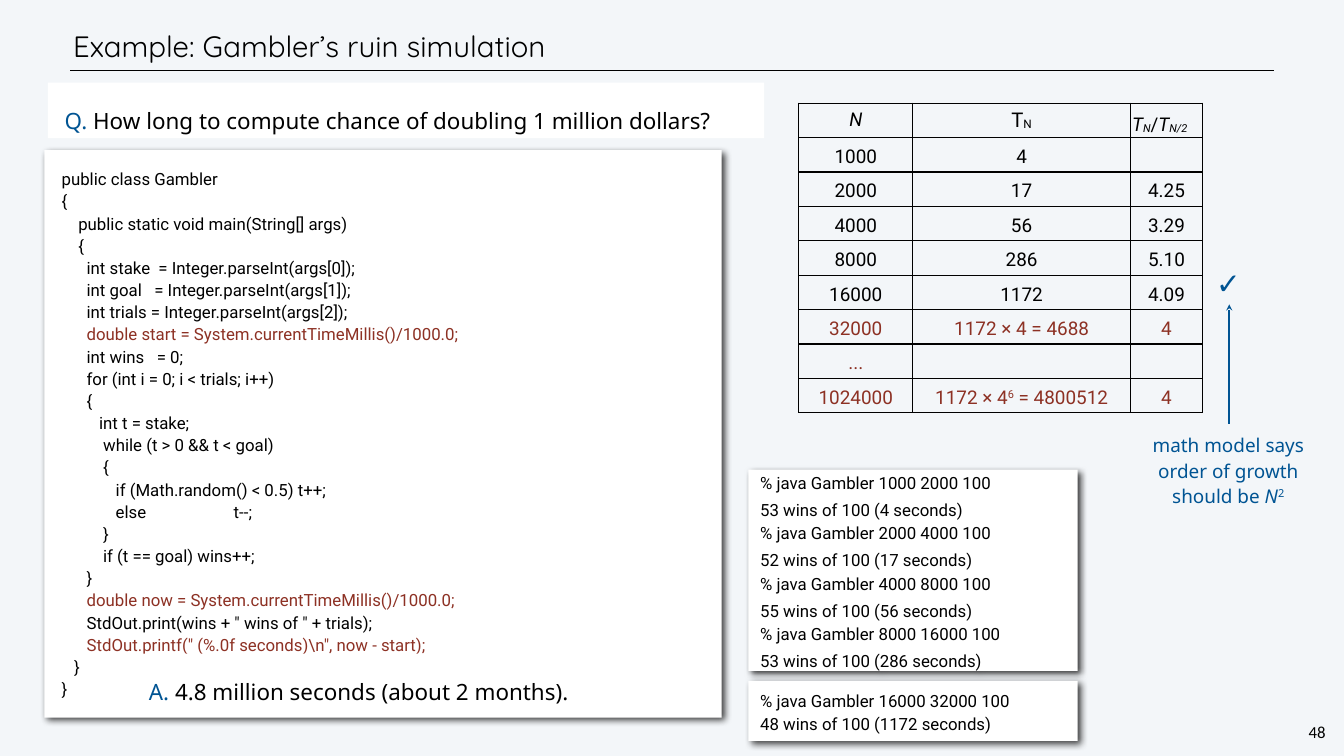
from dataclasses import dataclass, field
from lxml.etree import SubElement
from pptx import Presentation
from pptx.dml.color import RGBColor
from pptx.enum.shapes import MSO_CONNECTOR as Connector, MSO_SHAPE as Shape
from pptx.enum.text import MSO_ANCHOR as Anchor, PP_ALIGN as Align
from pptx.oxml import parse_xml
from pptx.oxml.ns import nsdecls, qn
from pptx.util import Inches, Pt

COLORS = {"ink": "000000", "paper": "FFFFFF", "ground": "F3F6F9",
          "accent": "005493", "timing": "8D3124"}
COLUMNS, ROWS = 80, 45
SUB, SUP = {"baseline": -6000}, {"baseline": 32000}

CODE = r"""public class Gambler
{
    public static void main(String[] args)
    {
      int stake  = Integer.parseInt(args[0]);
      int goal   = Integer.parseInt(args[1]);
      int trials = Integer.parseInt(args[2]);
      double start = System.currentTimeMillis()/1000.0;
      int wins   = 0;
      for (int i = 0; i < trials; i++)
      {
         int t = stake;
         while (t > 0 && t < goal)
         {
            if (Math.random() < 0.5) t++;
            else                     t--;
         }
         if (t == goal) wins++;
      }
      double now = System.currentTimeMillis()/1000.0;
      StdOut.print(wins + " wins of " + trials);
      StdOut.printf(" (%.0f seconds)\n", now - start);
   }
}""".splitlines()

TRIALS = [(1000, 4), (2000, 17), (4000, 56), (8000, 286), (16000, 1172)]
WINS = [53, 52, 55, 53, 48]
RATIOS = ["", "4.25", "3.29", "5.10", "4.09"]


def rgb(name):
    return RGBColor.from_string(COLORS[name])


def write(paragraph, content, *, size=24, font="Roboto", color="ink", align=Align.LEFT,
          spacing=None, before=0, indent=0, italic=False):
    """Fill a paragraph with a string or with (text, overrides) runs."""
    paragraph.alignment = align
    paragraph.space_before = Pt(before)
    paragraph.line_spacing = spacing
    if indent:
        paragraph._p.get_or_add_pPr().set("marL", str(Inches(indent)))
    runs = [(content, {})] if isinstance(content, str) else content
    for text, own in runs:
        run = paragraph.add_run()
        run.text = text
        run.font.name = font
        run.font.size = Pt(size)
        run.font.italic = own.get("italic", italic)
        run.font.color.rgb = rgb(own.get("color", color))
        if "baseline" in own:
            run.font._element.set("baseline", str(own["baseline"]))


@dataclass
class Deck:
    """Holds the style and current slide, measured in grid columns and rows."""
    show: object = field(default_factory=Presentation)
    slide: object = None

    def start(self):
        self.show.slide_width, self.show.slide_height = Inches(26.67), Inches(15)
        self.slide = self.show.slides.add_slide(self.show.slide_layouts[6])
        self.slide.background.fill.solid()
        self.slide.background.fill.fore_color.rgb = rgb("ground")

    def x(self, columns):
        return round(self.show.slide_width * columns / COLUMNS)

    def y(self, rows):
        return round(self.show.slide_height * rows / ROWS)

    def place(self, left, top, width, height):
        return self.x(left), self.y(top), self.x(width), self.y(height)

    def fill_text(self, frame, lines, inset, anchor, wrap, **style):
        frame.word_wrap = wrap
        frame.vertical_anchor = anchor
        frame.margin_left = frame.margin_right = self.x(inset)
        frame.margin_top = frame.margin_bottom = self.y(inset)
        for index, line in enumerate(lines):
            content, own = line if isinstance(line, tuple) else (line, {})
            paragraph = frame.add_paragraph() if index else frame.paragraphs[0]
            write(paragraph, content, **{**style, **own})

    def label(self, box, lines, inset=0.18, anchor=Anchor.TOP, wrap=False, **style):
        shape = self.slide.shapes.add_textbox(*self.place(*box))
        self.fill_text(shape.text_frame, lines, inset, anchor, wrap, **style)

    def panel(self, box, lines, inset=1, anchor=Anchor.TOP, raised=True, **style):
        shape = self.slide.shapes.add_shape(Shape.RECTANGLE, *self.place(*box))
        shape.fill.solid()
        shape.fill.fore_color.rgb = rgb("paper")
        shape.line.fill.background()
        shape.shadow.inherit = False
        if raised:
            shape.element.spPr.find(qn("a:effectLst")).append(parse_xml(
                f'<a:outerShdw {nsdecls("a")} blurRad="{Pt(10)}" dist="{Pt(6)}" dir="2700000" '
                f'rotWithShape="0"><a:srgbClr val="{COLORS["ink"]}"><a:alpha val="75000"/>'
                '</a:srgbClr></a:outerShdw>'))
        self.fill_text(shape.text_frame, lines, inset, anchor, True, **style)

    def line(self, start, end, color, width, head=None):
        rule = self.slide.shapes.add_connector(
            Connector.STRAIGHT, self.x(start[0]), self.y(start[1]), self.x(end[0]), self.y(end[1]))
        rule.line.color.rgb = rgb(color)
        rule.line.width = Pt(width)
        properties = rule.element.spPr
        if head:
            SubElement(properties.find(qn("a:ln")), qn("a:headEnd"), type=head)
        SubElement(properties, qn("a:effectLst"))

    def table(self, left, top, widths, heights, cells):
        frame = self.slide.shapes.add_table(
            len(heights), len(widths), *self.place(left, top, sum(widths), sum(heights)))
        grid = frame.table
        grid.first_row = grid.horz_banding = False
        for column, width in zip(grid.columns, widths):
            column.width = self.x(width)
        for row, height, entries in zip(grid.rows, heights, cells):
            row.height = self.y(height)
            for cell, (content, style) in zip(row.cells, entries):
                self.border(cell)
                cell.fill.background()
                cell.vertical_anchor = Anchor.MIDDLE
                cell.margin_left = cell.margin_right = self.x(0.1)
                cell.margin_top = cell.margin_bottom = self.y(0.1)
                if content:
                    write(cell.text_frame.paragraphs[0], content,
                          **{"size": 27, "align": Align.CENTER, **style})

    def border(self, cell):
        properties = cell._tc.get_or_add_tcPr()
        for side in ("lnL", "lnR", "lnT", "lnB"):
            edge = SubElement(properties, qn(f"a:{side}"), w=str(Pt(2)))
            SubElement(SubElement(edge, qn("a:solidFill")), qn("a:srgbClr"), val=COLORS["ink"])


def code_lines():
    for number, line in enumerate(CODE):
        timed = "currentTimeMillis" in line or "now" in line
        yield line, {"color": "timing" if timed else "ink",
                     "indent": 0.09 if 12 <= number <= 17 else 0.01}


def console(runs, gap):
    for (stake, seconds), wins in runs:
        yield f"% java Gambler {stake} {2 * stake} 100"
        yield f"{wins} wins of 100 ({seconds} seconds)", {"before": gap}


def growth_cells():
    slanted = {"italic": True}
    ratio = [("T", slanted), ("N", {**SUB, **slanted}), ("/", {}),
             ("T", slanted), ("N/2", {**SUB, **slanted})]
    yield [("N", {"italic": True, "spacing": Pt(32)}),
           ([("T", {}), ("N", SUB)], {"size": 29, "spacing": Pt(34)}),
           (ratio, {"align": Align.LEFT, "spacing": Pt(44)})]
    measured = [(str(n), str(t), r) for (n, t), r in zip(TRIALS, RATIOS)]
    predicted = [("32000", "1172 × 4 = 4688", "4"), ("...", "", ""),
                 ("1024000", [("1172 × 4", {}), ("6", SUP), (" = 4800512", {})], "4")]
    for color, rows in (("ink", measured), ("timing", predicted)):
        for row in rows:
            yield [(entry, {"color": color, "spacing": Pt(38)}) for entry in row]


def main():
    deck = Deck()
    deck.start()
    noto = {"font": "Noto Sans", "color": "accent", "align": Align.CENTER}
    statement = {"raised": False, "size": 32, "font": "Noto Sans", "spacing": Pt(50)}
    terminal = {"anchor": Anchor.MIDDLE, "inset": 0.7, "spacing": Pt(33)}
    trials = list(zip(TRIALS, WINS))

    deck.line((4.17, 4.2), (75.84, 4.2), "ink", 1)
    deck.label((4.17, 1.26, 67.86, 2.97), ["Example: Gambler’s ruin simulation"], wrap=True,
               anchor=Anchor.MIDDLE, size=42, font="Quicksand", spacing=Pt(50))
    deck.label((77.76, 42.87, 1.29, 1.41), ["48"], inset=0.12, font="Calibri",
               align=Align.CENTER, spacing=Pt(28))
    deck.panel((2.64, 8.94, 40.32, 33.78), code_lines(), spacing=1.1)
    deck.panel((2.85, 4.92, 42.63, 3.3), [([
        ("Q. ", {"color": "accent"}),
        ("How long to compute chance of doubling 1 million dollars?", {})], {})], **statement)
    deck.panel((44.55, 27.96, 19.59, 11.97), console(trials[:4], 6), **terminal)
    deck.table(47.55, 6.15, [6.78, 12.96, 4.29], [1.68] + [2.05] * 8, growth_cells())
    order = [("should be ", {}), ("N", {"italic": True}), ("2", SUP)]
    deck.label((67.98, 25.5, 10.26, 4.74),
               ["math model says", ("order of growth", {"before": 2}), (order, {"before": 2})],
               size=27, spacing=Pt(35), **noto)
    deck.line((73.17, 18.12), (73.17, 25.23), "accent", 3, head="stealth")
    deck.label((72.21, 15.63, 1.71, 2.43), ["✓"], size=42, spacing=Pt(50), **noto)
    deck.panel((7.86, 38.91, 28.86, 3.3), [([
        ("A. ", {"color": "accent"}),
        ("4.8 million seconds (about 2 months).", {})], {})], **statement)
    deck.panel((44.55, 40.53, 19.59, 3.57), console(trials[4:], 0), **terminal)
    deck.show.save("out.pptx")


if __name__ == "__main__":
    main()
